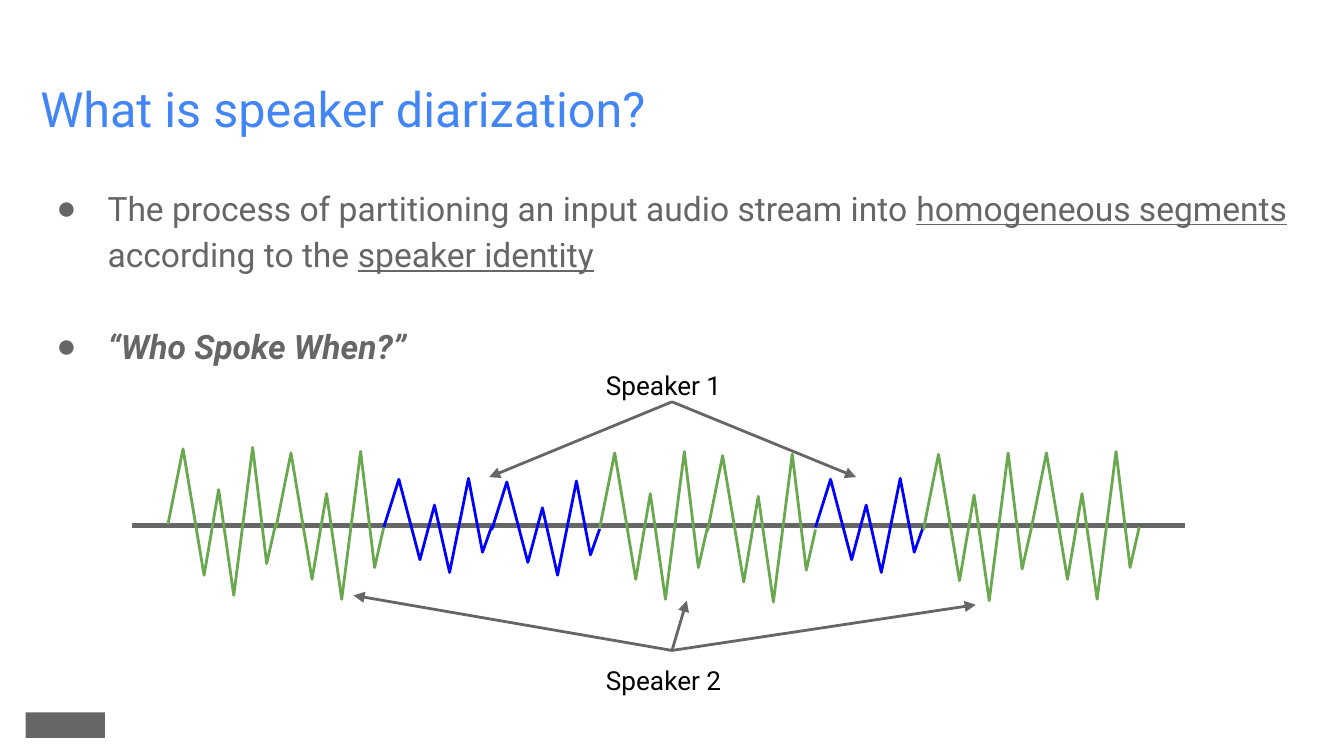
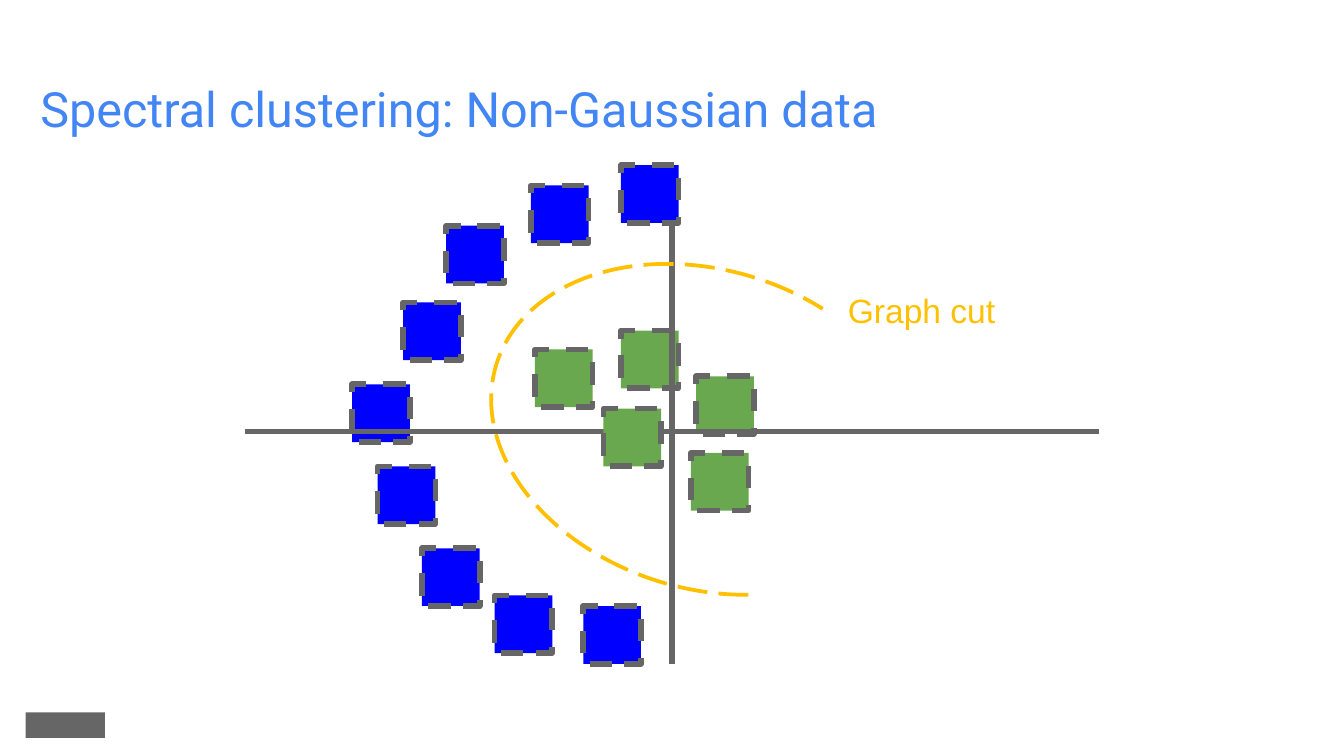
from dataclasses import dataclass

from lxml import etree
from pptx import Presentation
from pptx.dml.color import RGBColor
from pptx.enum.dml import MSO_LINE
from pptx.enum.shapes import MSO_CONNECTOR, MSO_SHAPE
from pptx.enum.text import MSO_ANCHOR, MSO_AUTO_SIZE, PP_ALIGN
from pptx.oxml.ns import qn
from pptx.util import Inches, Pt

STRAIGHT = MSO_CONNECTOR.STRAIGHT
RECTANGLE, ARC = MSO_SHAPE.RECTANGLE, MSO_SHAPE.ARC
DASH, LONG_DASH = MSO_LINE.DASH, MSO_LINE.LONG_DASH
TOP_SIDE, BOTTOM_SIDE = 0, 2
TITLE_AND_CONTENT, TITLE_ONLY = 1, 5


@dataclass(frozen=True)
class Theme:
    title: str = "4285F4"
    gray: str = "666666"
    black: str = "000000"
    green: str = "6AA84F"
    blue: str = "0000FF"
    amber: str = "FFC000"
    font: str = "Roboto"
    cut_font: str = "Arial"
    title_size: int = 26
    body_size: int = 18
    label_size: int = 14
    thin: float = 1.5
    medium: float = 2
    thick: float = 3


THEME = Theme()
WIDTH, HEIGHT = 10, 5.625
CENTER = WIDTH / 2
MARGIN = 0.2
TITLE_BOX = (MARGIN, 0.49, WIDTH - 2 * MARGIN, 0.63)
BODY_BOX = (MARGIN, 1.25, WIDTH - 2 * MARGIN, 3.74)
LOGO_BOX = (0.19, 5.3, 0.59, 0.19)

# Slide 1: bullets hold (text, style) runs
DIARIZATION_TITLE = "What is speaker diarization?"
BULLETS = [
    [("The process of partitioning an input audio stream into ", ""),
     ("homogeneous segments", "underline"),
     (" according to the ", ""),
     ("speaker identity", "underline")],
    [("“Who Spoke When?”", "bold italic")],
]

# One stretch of the wave, as shares of its width and height
WAVE = [(0, 0.52), (0.14, 0.01), (0.335, 0.865), (0.47, 0.285),
        (0.61, 1), (0.785, 0), (0.915, 0.785), (1, 0.51)]
WAVE_LEFT, WAVE_STEP = 1.25, 0.803
LOUD, SOFT = (THEME.green, 1.1), (THEME.blue, 0.7)
WAVE_PARTS = [(LOUD, 3.33), (LOUD, 3.36), (SOFT, 3.56), (SOFT, 3.58),
              (LOUD, 3.36), (LOUD, 3.38), (SOFT, 3.56), (LOUD, 3.37),
              (LOUD, 3.36)]
TIME_AXIS = ((0.98, 3.91), (8.82, 3.91))

LABEL_WIDTH, LABEL_HEIGHT = 1.18, 0.34
SPEAKERS = [  # text, top, side the arrows leave from, arrow tips
    ("Speaker 1", 2.65, BOTTOM_SIDE, [(3.64, 3.55), (6.37, 3.55)]),
    ("Speaker 2", 4.84, TOP_SIDE, [(5.11, 4.47), (7.26, 4.5), (2.63, 4.43)]),
]

# Slide 2: left and top of each square
CLUSTERING_TITLE = "Spectral clustering: Non-Gaussian data"
SQUARE = 0.43
POINTS_BEHIND_AXES = [
    (THEME.green, [(4.62, 2.46), (3.98, 2.6), (5.14, 3.37), (5.18, 2.8)]),
    (THEME.blue, [(3.32, 1.68), (3, 2.25), (3.68, 4.43), (2.62, 2.86),
                  (2.81, 3.47), (3.14, 4.08)]),
]
POINTS_BEFORE_AXES = [
    (THEME.blue, [(3.95, 1.38), (4.62, 1.23), (4.34, 4.51)]),
    (THEME.green, [(4.49, 3.04)]),
]
DATA_AXES = [((1.82, 3.21), (WIDTH - 1.82, 3.21)),
             ((CENTER, 4.94), (CENTER, 1.28))]
CUT_BOX, CUT_TILT, CUT_ANGLES = (3.62, 2.01, 3.27, 2.37), 17.2, (58.49, 296.8)
CUT_LABEL, CUT_LABEL_BOX = "Graph cut", (6.21, 2.11, 1.31, 0.4)


def color(value):
    return RGBColor.from_string(value)


def inches(values):
    return [Inches(value) for value in values]


def style_font(font, size, value, name=THEME.font):
    font.name, font.size = name, Pt(size)
    font.color.rgb = color(value)


def style_line(shape, value, width, dash=None):
    shape.line.color.rgb = color(value)
    shape.line.width = Pt(width)
    if dash:
        shape.line.dash_style = dash


def place(shape, box):
    shape.left, shape.top, shape.width, shape.height = inches(box)


def set_frame(shape, inset=0.1, wrap=True):
    frame = shape.text_frame
    frame.auto_size = MSO_AUTO_SIZE.NONE
    frame.word_wrap = wrap
    frame.vertical_anchor = MSO_ANCHOR.TOP
    frame.margin_left = frame.margin_right = Inches(0.1)
    frame.margin_top = frame.margin_bottom = Inches(inset)
    return frame


def add_slide(presentation, layout, title):
    slide = presentation.slides.add_slide(presentation.slide_layouts[layout])
    place(slide.shapes.title, TITLE_BOX)
    paragraph = set_frame(slide.shapes.title).paragraphs[0]
    paragraph.text = title
    paragraph.alignment = PP_ALIGN.LEFT
    style_font(paragraph.font, THEME.title_size, THEME.title)
    # Plain block in the footer
    add_block(slide, LOGO_BOX, THEME.gray).line.fill.background()
    return slide


def add_block(slide, box, fill):
    block = slide.shapes.add_shape(RECTANGLE, *inches(box))
    block.shadow.inherit = False
    block.fill.solid()
    block.fill.fore_color.rgb = color(fill)
    return block


def add_label(slide, text, box, size, value, font=THEME.font, **frame_options):
    label = slide.shapes.add_textbox(*inches(box))
    paragraph = set_frame(label, **frame_options).paragraphs[0]
    paragraph.text = text
    style_font(paragraph.font, size, value, font)
    return label


def add_line(slide, start, end, width, arrow=False):
    line = slide.shapes.add_connector(STRAIGHT, *inches(start + end))
    style_line(line, THEME.gray, width)
    properties = line._element.spPr
    etree.SubElement(properties, qn("a:effectLst"))
    if arrow:
        outline = properties.find(qn("a:ln"))
        etree.SubElement(outline, qn("a:tailEnd"), type="triangle")
    return line


def add_bullet(paragraph):
    properties = paragraph._p.get_or_add_pPr()
    properties.set("marL", str(Inches(0.5)))
    properties.set("indent", str(-Inches(0.38)))
    bullet_color = etree.SubElement(properties, qn("a:buClr"))
    etree.SubElement(bullet_color, qn("a:srgbClr"), val=THEME.gray)
    etree.SubElement(properties, qn("a:buChar"), char="●")


def fill_body(body):
    place(body, BODY_BOX)
    frame = set_frame(body)
    for index, runs in enumerate(BULLETS):
        paragraph = frame.add_paragraph() if index else frame.paragraphs[0]
        add_bullet(paragraph)
        paragraph.line_spacing = 1.15
        paragraph.space_before = Pt(24.3 if index else 0)
        style_font(paragraph.font, THEME.body_size, THEME.gray)
        for text, style in runs:
            run = paragraph.add_run()
            run.text = text
            for attribute in style.split():
                setattr(run.font, attribute, True)


def add_wave(slide, left, top, height, value):
    points = [inches((left + x * WAVE_STEP, top + y * height)) for x, y in WAVE]
    builder = slide.shapes.build_freeform(*points[0])
    builder.add_line_segments(points[1:], close=False)
    wave = builder.convert_to_shape()
    wave.shadow.inherit = False
    wave.fill.background()
    style_line(wave, value, THEME.thin)


def add_points(slide, groups):
    for value, corners in groups:
        for corner in corners:
            square = add_block(slide, (*corner, SQUARE, SQUARE), value)
            style_line(square, THEME.gray, THEME.thick, DASH)


def build_diarization(presentation):
    slide = add_slide(presentation, TITLE_AND_CONTENT, DIARIZATION_TITLE)
    fill_body(slide.placeholders[1])
    # Audio stream
    add_line(slide, *TIME_AXIS, THEME.thick)
    for index, ((value, height), top) in enumerate(WAVE_PARTS):
        add_wave(slide, WAVE_LEFT + index * WAVE_STEP, top, height, value)
    # Speakers and their arrows
    for text, top, side, tips in SPEAKERS:
        box = (CENTER - LABEL_WIDTH / 2, top, LABEL_WIDTH, LABEL_HEIGHT)
        label = add_label(slide, text, box, THEME.label_size, THEME.black)
        start = (CENTER, top + (LABEL_HEIGHT if side == BOTTOM_SIDE else 0))
        for tip in tips:
            arrow = add_line(slide, start, tip, THEME.thin, arrow=True)
            arrow.begin_connect(label, side)


def build_clustering(presentation):
    slide = add_slide(presentation, TITLE_ONLY, CLUSTERING_TITLE)
    # Data points around the axes
    add_points(slide, POINTS_BEHIND_AXES)
    for start, end in DATA_AXES:
        add_line(slide, start, end, THEME.thick)
    add_points(slide, POINTS_BEFORE_AXES)
    # Graph cut
    cut = slide.shapes.add_shape(ARC, *inches(CUT_BOX))
    cut.shadow.inherit = False
    cut.fill.background()
    cut.rotation = CUT_TILT
    for index, degrees in enumerate(CUT_ANGLES):
        cut.adjustments[index] = degrees * 0.6  # 60000 units a degree
    style_line(cut, THEME.amber, THEME.medium, LONG_DASH)
    add_label(slide, CUT_LABEL, CUT_LABEL_BOX, THEME.body_size, THEME.amber,
              THEME.cut_font, inset=0.05, wrap=False)


def main():
    presentation = Presentation()
    presentation.slide_width = Inches(WIDTH)
    presentation.slide_height = Inches(HEIGHT)
    build_diarization(presentation)
    build_clustering(presentation)
    presentation.save("out.pptx")


if __name__ == "__main__":
    main()
